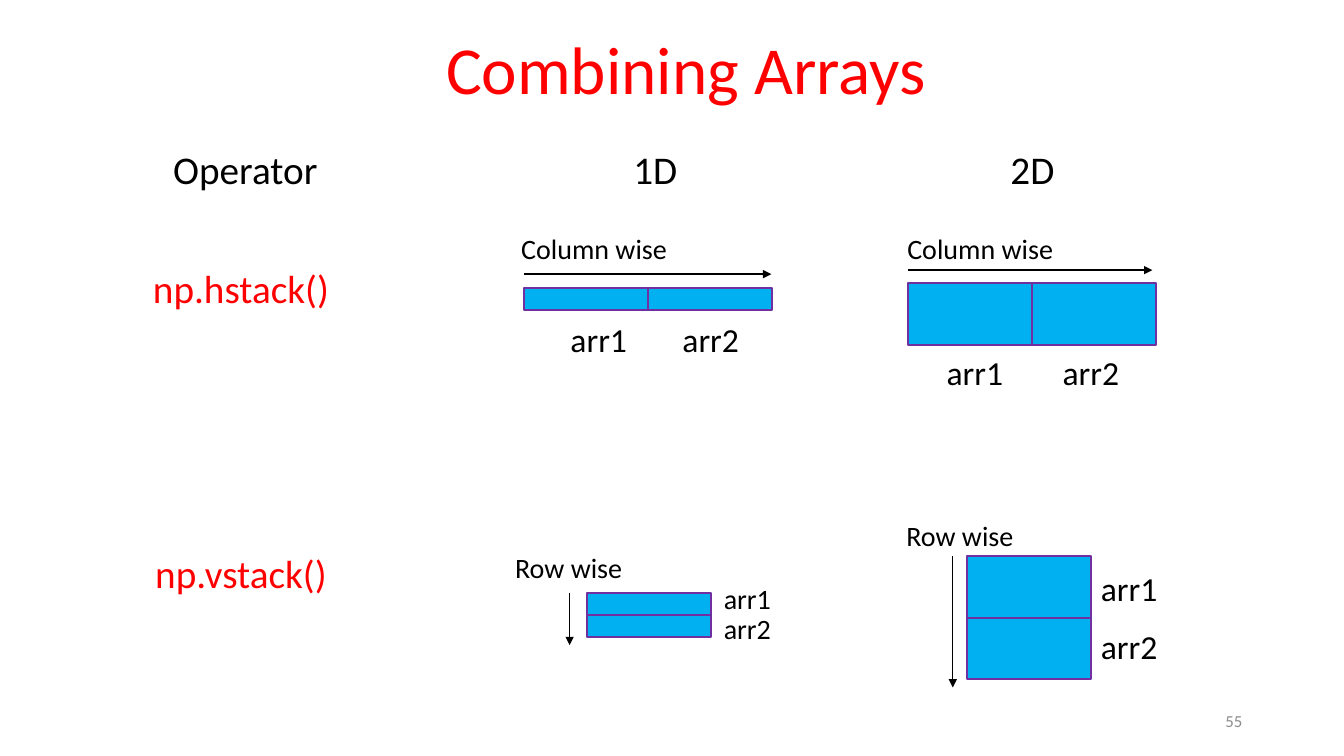
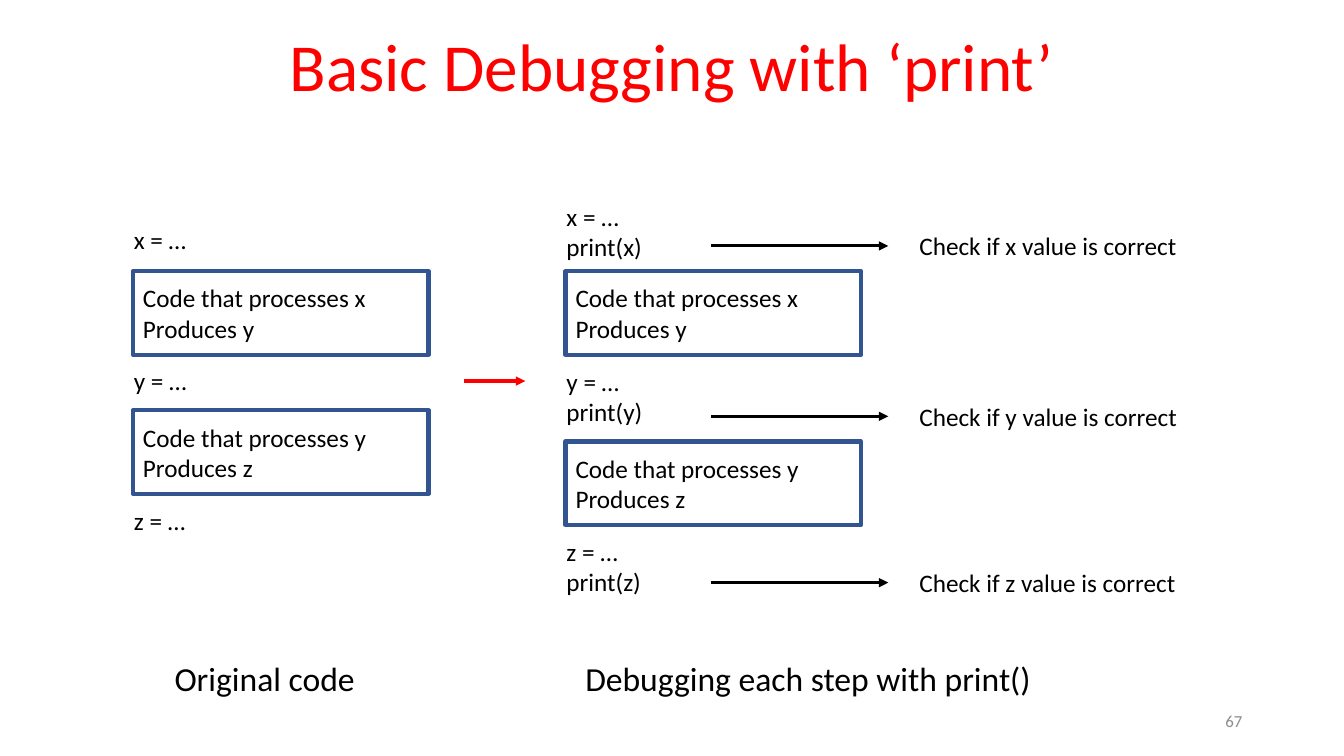
from dataclasses import dataclass

from lxml import etree
from pptx import Presentation
from pptx.dml.color import RGBColor
from pptx.enum.shapes import MSO_CONNECTOR, MSO_SHAPE
from pptx.enum.text import MSO_ANCHOR, PP_ALIGN
from pptx.oxml.ns import qn
from pptx.util import Inches, Pt

LEFT, CENTER, RIGHT = PP_ALIGN.LEFT, PP_ALIGN.CENTER, PP_ALIGN.RIGHT
TOP, MIDDLE, BOTTOM = MSO_ANCHOR.TOP, MSO_ANCHOR.MIDDLE, MSO_ANCHOR.BOTTOM
RECT = MSO_SHAPE.RECTANGLE
STRAIGHT = MSO_CONNECTOR.STRAIGHT


@dataclass(frozen=True)
class Theme:
    font: str = "Calibri"
    accent: str = "FF0000"
    ink: str = "000000"
    muted: str = "8C8C8C"
    cell_fill: str = "00B0F0"
    cell_line: str = "7030A0"
    code_line: str = "325491"
    title: int = 48
    heading: int = 28
    label: int = 24
    caption: int = 20
    code: int = 18
    number: int = 12


THEME = Theme()
CELL_W = 1.23
LABEL_H = 0.57
CODE_W, CODE_H = 2.93, 0.83


def rgb(value):
    return RGBColor.from_string(value)


# Shared parts
def write(sp, text, size, color=THEME.ink, align=LEFT, anchor=TOP, spacing=None):
    tf = sp.text_frame
    tf.word_wrap = True
    tf.vertical_anchor = anchor
    tf.text = text
    for p in tf.paragraphs:
        p.alignment = align
        p.line_spacing = spacing
        p.font.name = THEME.font
        p.font.size = Pt(size)
        p.font.color.rgb = rgb(color)


def add_text(s, box, text, size, **style):
    sp = s.shapes.add_textbox(*map(Inches, box))
    write(sp, text, size, **style)


def add_label(s, left, top, width, text, size):
    add_text(s, (left, top, width, LABEL_H), text, size, anchor=BOTTOM, spacing=0.9)


def add_rect(s, box, line, weight, fill=None):
    sp = s.shapes.add_shape(RECT, *map(Inches, box))
    sp.shadow.inherit = False
    if fill:
        sp.fill.solid()
        sp.fill.fore_color.rgb = rgb(fill)
    else:
        sp.fill.background()
    sp.line.color.rgb = rgb(line)
    sp.line.width = Pt(weight)
    return sp


def add_arrow(s, x, y, dx, dy, weight, color=THEME.ink):
    arrow = s.shapes.add_connector(STRAIGHT, *map(Inches, (x, y, x + dx, y + dy)))
    arrow.line.color.rgb = rgb(color)
    arrow.line.width = Pt(weight)
    etree.SubElement(arrow.line._get_or_add_ln(), qn("a:tailEnd"), type="triangle")
    etree.SubElement(arrow._element.spPr, qn("a:effectLst"))


def new_slide(prs, title, title_box, number):
    s = prs.slides.add_slide(prs.slide_layouts[6])
    add_text(s, title_box, title, THEME.title, color=THEME.accent,
             align=CENTER, anchor=BOTTOM, spacing=0.9)
    add_text(s, (9.42, 6.95, 3, 0.4), number, THEME.number, color=THEME.muted,
             align=RIGHT, anchor=MIDDLE)
    return s


# Two joined arrays with a direction arrow; all offsets start at (left, top)
def stack_diagram(s, left, top, cell_h, across, caption_at, arrow_gap, arrow_len,
                  label_at, label_step, label_size):
    right, down = (1, 0) if across else (0, 1)
    caption = "Column wise" if across else "Row wise"
    add_label(s, left + caption_at[0], top + caption_at[1], 2.81, caption, THEME.caption)
    add_arrow(s, left - arrow_gap * down, top - arrow_gap * right,
              arrow_len * right, arrow_len * down, 1)
    for i, name in enumerate(("arr1", "arr2")):
        cell = (left + i * CELL_W * right, top + i * cell_h * down, CELL_W, cell_h)
        add_rect(s, cell, THEME.cell_line, 1.5, THEME.cell_fill)
        add_label(s, left + label_at[0] + i * label_step * right,
                  top + label_at[1] + i * label_step * down, 0.88, name, label_size)


def combining_slide(prs):
    s = new_slide(prs, "Combining Arrays", (0.59, 0.04, 12.43, 1.09), "55")

    # Column headings and operator names
    for left, text, align in ((1.62, "Operator", LEFT), (5.68, "1D", CENTER),
                              (9.42, "2D", CENTER)):
        add_text(s, (left, 1.39, 1.64, 0.57), text, THEME.heading, align=align)
    for top, text in ((2.57, "np.hstack()"), (5.4, "np.vstack()")):
        add_text(s, (0.69, top, 3.4, 0.57), text, THEME.heading,
                 color=THEME.accent, align=CENTER)

    # Horizontal stacks, then vertical stacks
    stack_diagram(s, 5.2, 2.86, 0.22, True, (-0.13, -0.75), 0.14, 2.45,
                  (0.36, 0.19), 1.11, THEME.label)
    stack_diagram(s, 9.01, 2.81, 0.61, True, (-0.11, -0.7), 0.13, 2.42,
                  (0.28, 0.57), 1.15, THEME.label)
    stack_diagram(s, 5.82, 5.88, 0.22, False, (-0.81, -0.6), 0.17, 0.52,
                  (1.26, -0.29), 0.29, THEME.caption)
    stack_diagram(s, 9.59, 5.52, 0.61, False, (-0.7, -0.56), 0.14, 1.3,
                  (1.23, 0), 0.57, THEME.label)


# Assignments alternating with framed code steps
def code_column(s, left, first_top, debug=False):
    text_h = 0.71 if debug else 0.4
    tops = [first_top]
    step_top = 2.69
    for source, result in ("xy", "yz"):
        sp = add_rect(s, (left, step_top, CODE_W, CODE_H), THEME.code_line, 3)
        write(sp, f"Code that processes {source}\vProduces {result}", THEME.code,
              anchor=MIDDLE)
        tops.append(step_top + 0.89)
        step_top = tops[-1] + text_h + 0.09
    for name, top in zip("xyz", tops):
        text = f"{name} = …" + (f"\nprint({name})" if debug else "")
        add_text(s, (left - 0.09, top, 3.3, text_h), text, THEME.code)


def debugging_slide(prs):
    s = new_slide(prs, "Basic Debugging with ‘print’", (0.1, 0.05, 13.13, 1.05), "67")

    # Code before and after adding print calls
    code_column(s, 1.32, 2.18)
    code_column(s, 5.61, 1.95, debug=True)
    add_arrow(s, 4.6, 3.78, 0.61, 0, 2.25, THEME.accent)

    # Checks
    for name, top in zip("xyz", (2.24, 3.93, 5.58)):
        add_arrow(s, 7.05, top + 0.2, 1.76, 0, 2.25)
        add_text(s, (9.02, top, 2.79, 0.4), f"Check if {name} value is correct",
                 THEME.code)

    # Column captions
    for left, width, text in ((1.23, 2.79, "Original code"),
                              (5.11, 5.81, "Debugging each step with print()")):
        add_text(s, (left, 6.48, width, 0.5), text, THEME.label, align=CENTER)


def main():
    prs = Presentation()
    prs.slide_width, prs.slide_height = Inches(13.33), Inches(7.5)
    combining_slide(prs)
    debugging_slide(prs)
    prs.save("out.pptx")


if __name__ == "__main__":
    main()
